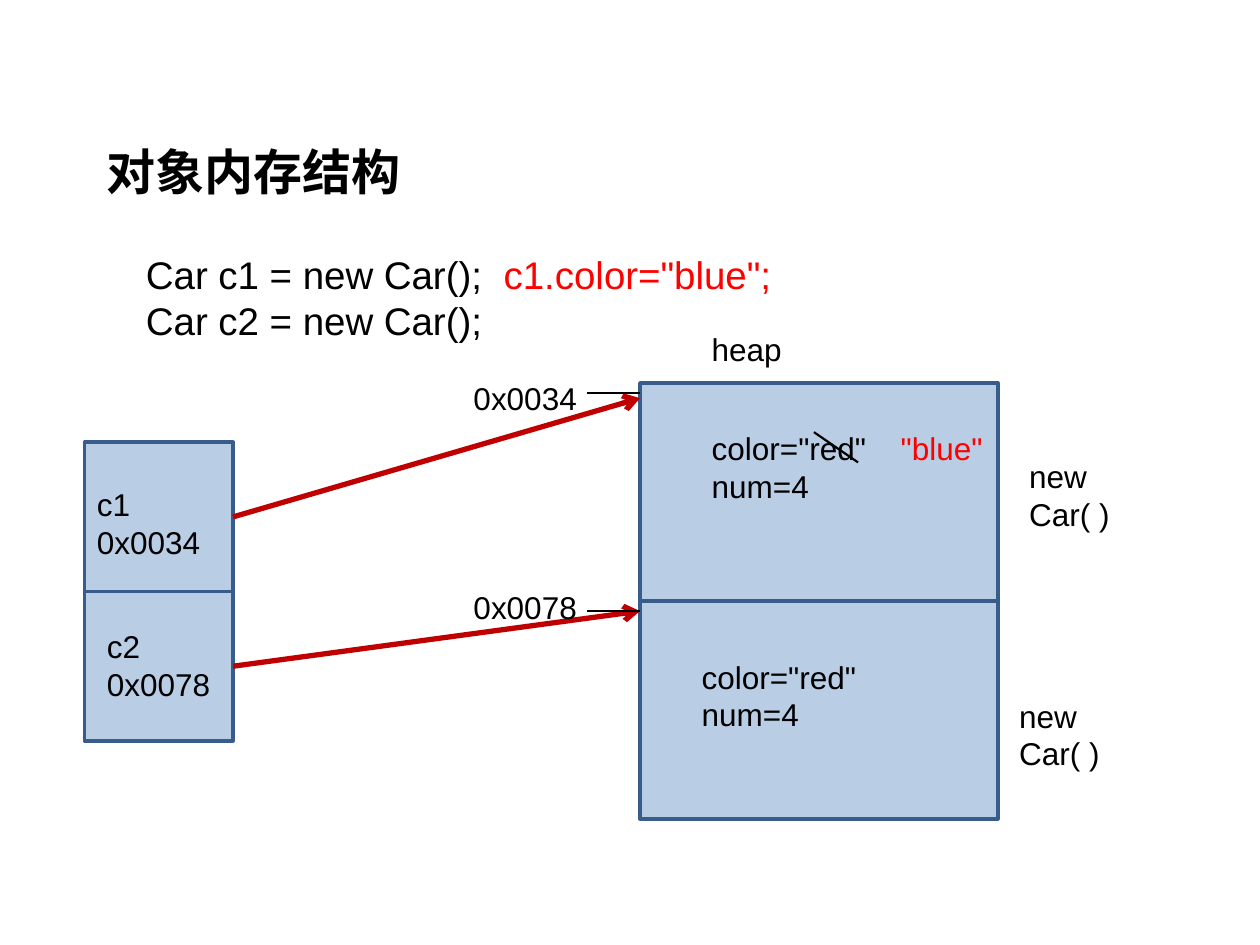
from dataclasses import dataclass

from pptx import Presentation
from pptx import util as u
from pptx.dml.color import RGBColor
from pptx.enum import shapes, text
from pptx.oxml import ns, xmlchemy


@dataclass(frozen=True)
class Theme:
    font: str = "Arial"
    ink: str = "000000"
    accent: str = "FF0000"
    fill: str = "B9CDE5"
    border: str = "385D8A"
    arrow: str = "C00000"
    title: int = 28
    code: int = 22
    label: int = 18


theme = Theme()

# Content: lines of text, each a list of (wording, colour) spans
title = [[("对象内存结构", theme.ink)]]
code = [
    [("Car c1 = new Car();  ", theme.ink), ('c1.color="blue";', theme.accent)],
    [("Car c2 = new Car();", theme.ink)],
]
labels = [  # left, top, width, lines
    (5.55, 2.57, 1.89, ["heap"]),
    (0.67, 3.8, 1.1, ["c1", "0x0034"]),
    (0.75, 4.93, 1.26, ["c2", "0x0078"]),
    (3.66, 2.96, 1.1, ["0x0034"]),
    (3.66, 4.62, 1.1, ["0x0078"]),
    (8.07, 3.58, 1.3, ["new Car( )"]),
    (7.99, 5.48, 1.3, ["new Car( )"]),
    (5.55, 3.36, 2.05, ['color="red"', "num=4"]),
    (5.47, 5.17, 2.05, ['color="red"', "num=4"]),
]

# Memory columns: left, top, cell width, cell height
stack = (0.67, 3.51, 1.18, 1.185)
heap = (5.08, 3.04, 2.84, 1.73)
cells = 2
arrow_ends = [3.16, 4.85]
address_ticks = [3.12, 4.85]
tick_length = 0.42

deck = Presentation()
deck.slide_width, deck.slide_height = u.Inches(10), u.Inches(7.5)
page = deck.slides.add_slide(deck.slide_layouts[6])


def add_text(left, top, width, lines, size, bold=False):
    height = 0.1 + len(lines) * size / 60
    box = page.shapes.add_textbox(*map(u.Inches, (left, top, width, height)))
    frame = box.text_frame
    frame.word_wrap = True
    frame.auto_size = text.MSO_AUTO_SIZE.SHAPE_TO_FIT_TEXT
    for index, spans in enumerate(lines):
        para = frame.add_paragraph() if index else frame.paragraphs[0]
        para.font.name, para.font.size, para.font.bold = theme.font, u.Pt(size), bold
        for wording, colour in spans:
            span = para.add_run()
            span.text = wording
            span.font.color.rgb = RGBColor.from_string(colour)


def add_column(left, top, width, height):
    for row in range(cells):
        cell = page.shapes.add_shape(
            shapes.MSO_SHAPE.RECTANGLE,
            *map(u.Inches, (left, top + row * height, width, height)))
        cell.shadow.inherit = False
        cell.fill.solid()
        cell.fill.fore_color.rgb = RGBColor.from_string(theme.fill)
        cell.line.color.rgb = RGBColor.from_string(theme.border)
        cell.line.width = u.Pt(2)


def add_line(start, end, colour, width, arrow=False):
    line = page.shapes.add_connector(
        shapes.MSO_CONNECTOR.STRAIGHT, *map(u.Inches, (*start, *end)))
    line.line.color.rgb = RGBColor.from_string(colour)
    line.line.width = u.Pt(width)
    if arrow:
        head = xmlchemy.OxmlElement("a:tailEnd")
        head.set("type", "arrow")
        line.line._get_or_add_ln().append(head)
    properties = line._element.find(ns.qn("p:spPr"))
    properties.append(xmlchemy.OxmlElement("a:effectLst"))


# Heading and code
add_text(0.75, 1.07, 3.7, title, theme.title, bold=True)
add_text(1.06, 1.94, 5.75, code, theme.code)

# Stack and heap
add_column(*stack)
add_column(*heap)

# References from each stack cell's middle to its heap object
stack_left, stack_top, stack_width, stack_height = stack
heap_left = heap[0]
for row, end in enumerate(arrow_ends):
    middle = stack_top + (row + 0.5) * stack_height
    add_line((stack_left + stack_width, middle), (heap_left, end),
             theme.arrow, 3, arrow=True)

# Labels and address ticks
for left, top, width, lines in labels:
    add_text(left, top, width, [[(line, theme.ink)] for line in lines], theme.label)
for tick in address_ticks:
    add_line((heap_left - tick_length, tick), (heap_left, tick), theme.ink, 0.75)

# Changed colour and its strike
add_text(7.05, 3.36, 0.94, [[('"blue"', theme.accent)]], theme.label)
add_line((6.46, 3.43), (6.81, 3.67), theme.ink, 1.25)

deck.save("out.pptx")
